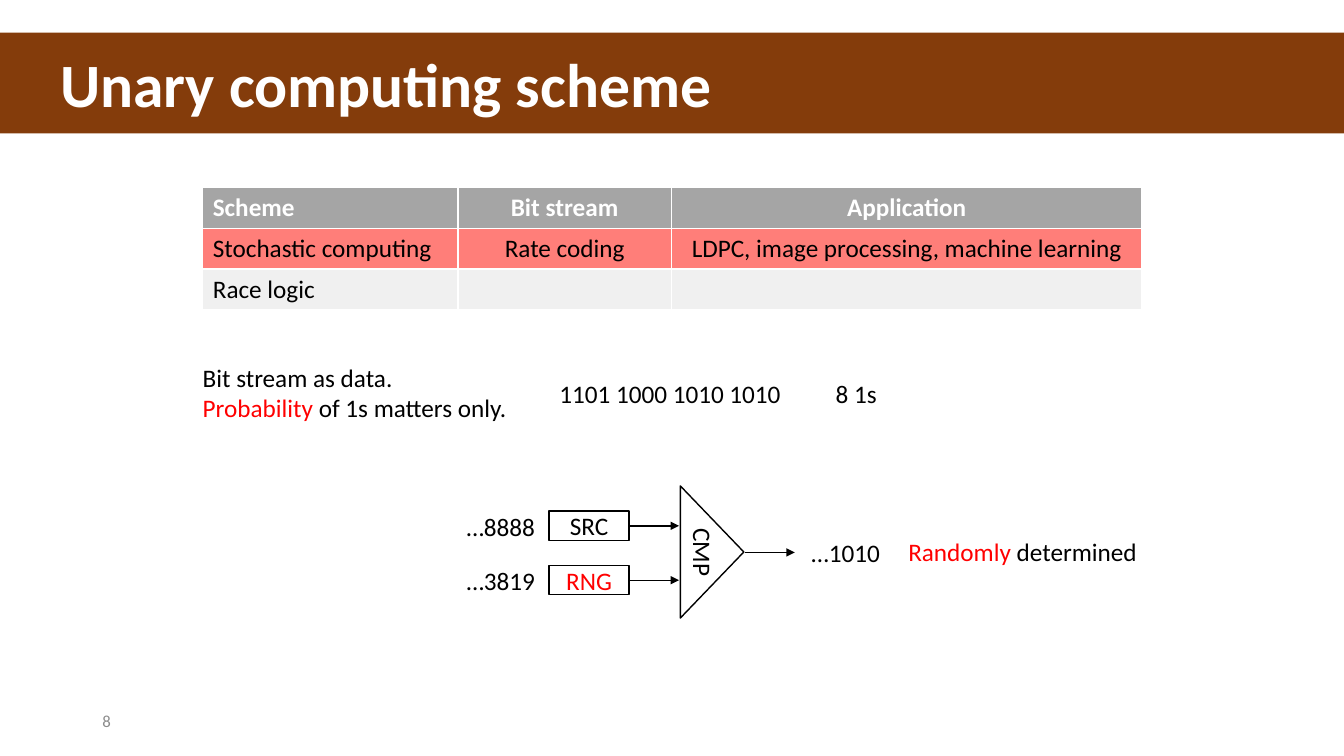
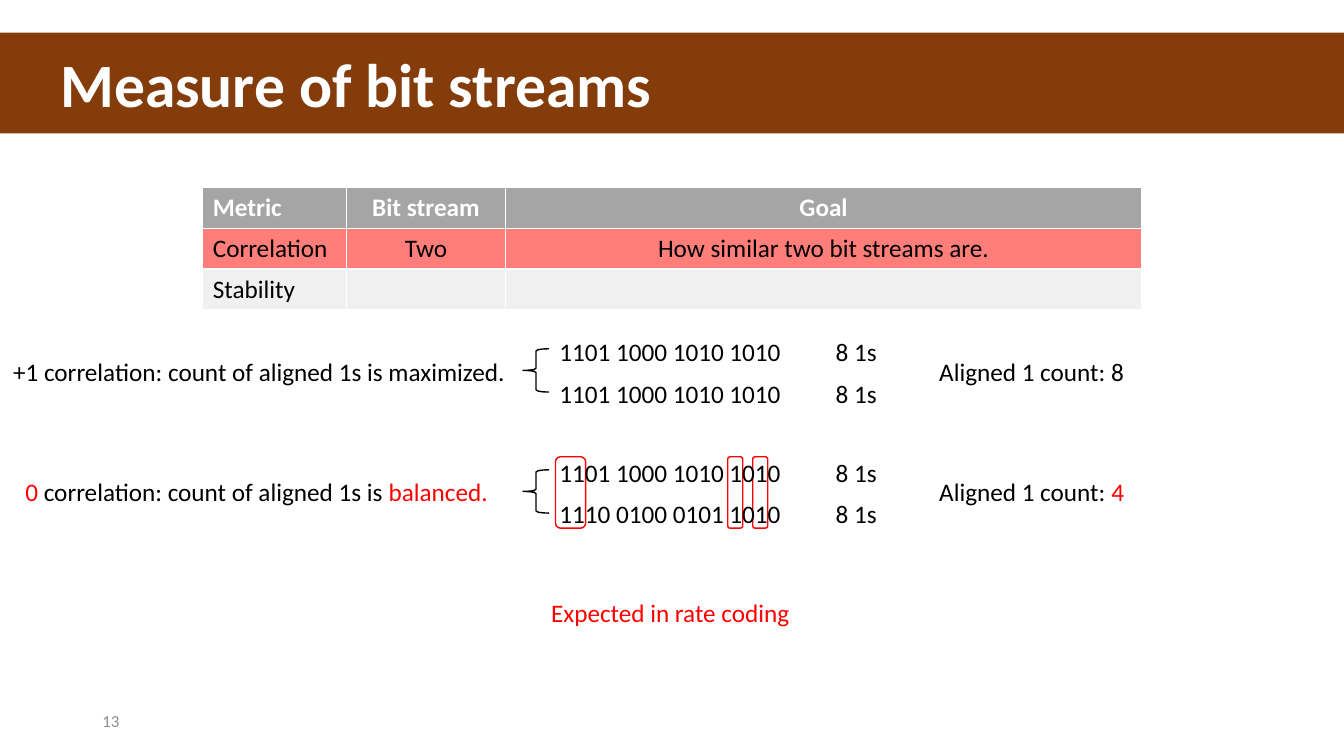
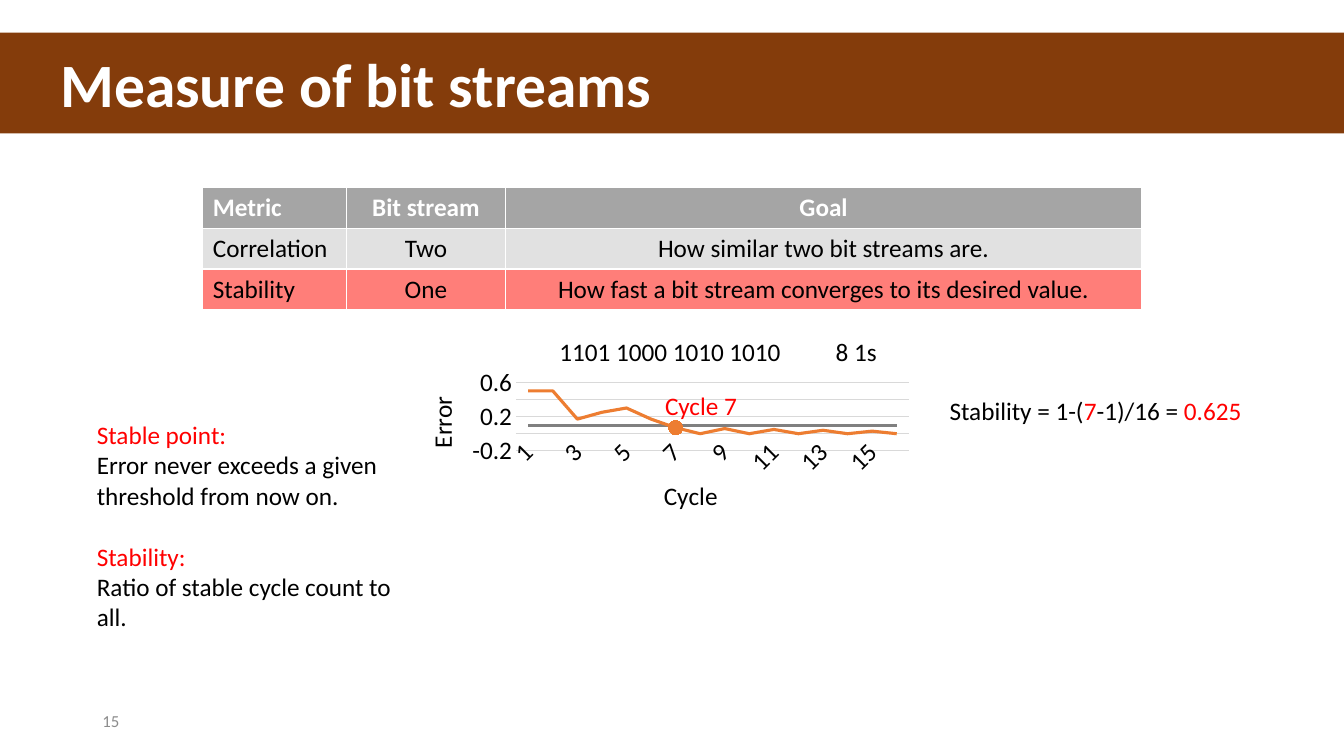
from pptx import Presentation
from pptx.chart.data import CategoryChartData
from pptx.dml.color import RGBColor
from pptx.enum.chart import XL_CHART_TYPE as Chart, XL_MARKER_STYLE as Marker, XL_TICK_MARK as Tick
from pptx.enum.shapes import MSO_CONNECTOR as Connector, MSO_SHAPE as Shape
from pptx.enum.text import MSO_ANCHOR as Anchor, PP_ALIGN as Align
from pptx.oxml import parse_xml
from pptx.oxml.ns import nsdecls, qn
from pptx.util import Cm, Pt
from lxml.etree import SubElement


class Theme:
    font = "Calibri"
    title_size, body_size, page_size = Pt(44), Pt(18), Pt(12)
    line_width = Pt(1)
    band = RGBColor.from_string("843C0B")
    white = RGBColor.from_string("FFFFFF")
    black = RGBColor.from_string("000000")
    red = RGBColor.from_string("FF0000")
    page = RGBColor.from_string("8C8C8C")
    header = RGBColor.from_string("A5A5A5")
    rows = [RGBColor.from_string("E1E1E1"), RGBColor.from_string("F0F0F0")]
    highlight = RGBColor.from_string("FF7E79")
    grid = RGBColor.from_string("D9D9D9")
    gray = RGBColor.from_string("808080")
    gold = RGBColor.from_string("FFC000")
    orange = RGBColor.from_string("ED7D31")


def write(frame, *paragraphs, size=Theme.body_size, color=Theme.black, bold=False,
          align=Align.LEFT, gap_before=None):
    """Each paragraph is a string or a list of (text, color) runs; gap_before maps index to space."""
    for index, content in enumerate(paragraphs):
        paragraph = frame.paragraphs[0] if index == 0 else frame.add_paragraph()
        paragraph.alignment = align
        if gap_before and index in gap_before:
            paragraph.space_before = gap_before[index]
        runs = [(content, color)] if isinstance(content, str) else content
        for text, run_color in runs:
            run = paragraph.add_run()
            run.text = text
            run.font.name, run.font.size, run.font.bold = Theme.font, size, bold
            run.font.color.rgb = run_color


def add_outline(slide, preset, left, top, width, height, color=Theme.black):
    shape = slide.shapes.add_shape(preset, Cm(left), Cm(top), Cm(width), Cm(height))
    shape.shadow.inherit = False
    shape.fill.background()
    shape.line.color.rgb = color
    shape.line.width = Theme.line_width
    return shape


presentation = Presentation()
presentation.slide_width, presentation.slide_height = Cm(33.87), Cm(19.05)

# Title band, page number and table of every slide
metric_header = ["Metric", "Bit stream", "Goal"]
metric_widths = [3.63, 3.99, 16.05]
correlation_row = ["Correlation", "Two", "How similar two bit streams are."]
outlines = [
    ("Unary computing scheme", "8", [6.43, 5.38, 11.86], 1, [
        ["Scheme", "Bit stream", "Application"],
        ["Stochastic computing", "Rate coding", "LDPC, image processing, machine learning"],
        ["Race logic", "", ""]]),
    ("Measure of bit streams", "13", metric_widths, 1, [
        metric_header, correlation_row, ["Stability", "", ""]]),
    ("Measure of bit streams", "15", metric_widths, 2, [
        metric_header, correlation_row,
        ["Stability", "One", "How fast a bit stream converges to its desired value."]]),
]
slides = []
for title, page, widths, highlighted, rows in outlines:
    slide = presentation.slides.add_slide(presentation.slide_layouts[6])
    slides.append(slide)

    band = slide.shapes.add_shape(Shape.RECTANGLE, 0, Cm(0.82), presentation.slide_width, Cm(2.54))
    band.shadow.inherit = False
    band.fill.solid()
    band.fill.fore_color.rgb = Theme.band
    band.line.fill.background()
    band.text_frame.margin_left = Cm(1.52)
    band.text_frame.vertical_anchor = Anchor.MIDDLE
    write(band.text_frame, title, size=Theme.title_size, color=Theme.white, bold=True)

    page_box = slide.shapes.add_textbox(Cm(2.33), Cm(17.66), Cm(7.62), Cm(1.01))
    page_box.text_frame.word_wrap = True
    page_box.text_frame.vertical_anchor = Anchor.MIDDLE
    write(page_box.text_frame, page, size=Theme.page_size, color=Theme.page)

    table = slide.shapes.add_table(len(rows), len(widths), Cm(5.11), Cm(4.72),
                                   Cm(sum(widths)), Cm(1.03 * len(rows))).table
    for column, width in zip(table.columns, widths):
        column.width = Cm(width)
    for row_index, row in enumerate(rows):
        is_header = row_index == 0
        fill = Theme.header if is_header else Theme.rows[row_index - 1]
        for column_index, text in enumerate(row):
            cell = table.cell(row_index, column_index)
            cell.vertical_anchor = Anchor.MIDDLE
            cell.fill.solid()
            cell.fill.fore_color.rgb = Theme.highlight if row_index == highlighted else fill
            write(cell.text_frame, text, bold=is_header,
                  color=Theme.white if is_header else Theme.black,
                  align=Align.CENTER if column_index else Align.LEFT)

scheme_slide, correlation_slide, stability_slide = slides

# Comparator circuit
source_left, source_width, source_height, arrow_length = 13.84, 2.01, 0.74, 1.26
wires = []
for name, color, top in [("SRC", Theme.black, 12.88), ("RNG", Theme.red, 14.25)]:
    source = add_outline(scheme_slide, Shape.RECTANGLE, source_left, top, source_width, source_height)
    frame = source.text_frame
    frame.margin_left = frame.margin_right = frame.margin_top = frame.margin_bottom = 0
    frame.vertical_anchor = Anchor.MIDDLE
    write(frame, name, color=color, align=Align.CENTER)
    wires.append((source, source_left + source_width, top + source_height / 2))

comparator = add_outline(scheme_slide, Shape.ISOSCELES_TRIANGLE, 16.28, 13.11, 3.33, 1.6)
comparator.rotation = 90
wires.append((None, 18.77, 13.92))
for source, left, middle in wires:
    arrow = scheme_slide.shapes.add_connector(
        Connector.STRAIGHT, Cm(left), Cm(middle), Cm(left + arrow_length), Cm(middle))
    if source is not None:
        arrow.begin_connect(source, 3)
    arrow.line.color.rgb = Theme.black
    arrow.line.width = Theme.line_width
    SubElement(arrow.element.xpath(".//a:ln")[0], qn("a:tailEnd"), type="triangle")
    SubElement(arrow.element.spPr, qn("a:effectLst"))

comparator_name = scheme_slide.shapes.add_textbox(Cm(16.84), Cm(13.41), Cm(1.75), Cm(1.02))
comparator_name.rotation = 90
comparator_name.text_frame.word_wrap = False
write(comparator_name.text_frame, "CMP", align=Align.CENTER)

# Braces over stream pairs and frames around aligned ones
for top in (8.79, 11.84):
    add_outline(correlation_slide, Shape.LEFT_BRACE, 13.18, top, 0.66, 1.09)
for left, width in [(14, 0.76), (18.34, 0.38), (18.97, 0.38)]:
    add_outline(correlation_slide, Shape.ROUNDED_RECTANGLE, left, 11.51, width, 1.8, Theme.red)

# Error chart
errors = [0.5, 0.5, 0.17, 0.25, 0.3, 0.17, 0.07, 0, 0.06, 0, 0.05, 0, 0.04, 0, 0.03, 0]
threshold = [0.1] * len(errors)
series_styles = [(threshold, Theme.gray, 0.75), (errors, Theme.gold, 0.75),
                 (threshold, Theme.gray, 2.25), (errors, Theme.orange, 2.25)]
chart_data = CategoryChartData()
chart_data.categories = [str(cycle) for cycle in range(1, len(errors) + 1)]
for number, (values, color, width) in enumerate(series_styles, 1):
    chart_data.add_series(f"Series {number}", values)
chart = stability_slide.shapes.add_chart(
    Chart.LINE, Cm(10.59), Cm(9.25), Cm(12.7), Cm(3.84), chart_data).chart
chart.has_title = chart.has_legend = False
chart.font.name, chart.font.size = Theme.font, Theme.body_size
chart.font.color.rgb = Theme.black
chart.plots[0].vary_by_categories = False

for series, (values, color, width) in zip(chart.plots[0].series, series_styles):
    series.smooth = False
    series.marker.style = Marker.NONE
    series.format.line.color.rgb = color
    series.format.line.width = Pt(width)
stable_point = series.points[6]
stable_point.format.line.color.rgb = color
stable_point.format.line.width = Pt(width)
stable_point.marker.style = Marker.CIRCLE
stable_point.marker.size = 10
stable_point.marker.format.fill.solid()
stable_point.marker.format.fill.fore_color.rgb = color
stable_point.marker.format.line.color.rgb = color

for axis, title in [(chart.category_axis, "Cycle"), (chart.value_axis, "Error")]:
    write(axis.axis_title.text_frame, title, align=Align.CENTER)
    axis.major_tick_mark = axis.minor_tick_mark = Tick.NONE
    axis.tick_labels.font.name, axis.tick_labels.font.size = Theme.font, Theme.body_size
    axis.tick_labels.font.color.rgb = Theme.black
chart.category_axis.format.line.color.rgb = Theme.grid
chart.category_axis.format.line.width = Pt(0.75)
value_axis = chart.value_axis
value_axis.minimum_scale, value_axis.maximum_scale, value_axis.major_unit = -0.2, 0.6, 0.2
value_axis.format.line.fill.background()
value_axis.major_gridlines.format.line.color.rgb = Theme.grid
value_axis.major_gridlines.format.line.width = Pt(0.75)
for location, angle in [("c:valAx/c:title", -90), ("c:catAx/c:txPr", -45)]:
    body = chart.element.xpath(f".//{location}//a:bodyPr")[0]
    body.set("rot", str(angle * 60000))
    body.set("vert", "horz")

plot_area = chart.element.xpath(".//c:plotArea")[0]
for old_layout in plot_area.xpath("c:layout"):
    plot_area.remove(old_layout)
plot_area.insert(0, parse_xml(
    f'<c:layout {nsdecls("c")}><c:manualLayout><c:layoutTarget val="inner"/>'
    '<c:xMode val="edge"/><c:yMode val="edge"/><c:x val="0.19"/><c:y val="0.1"/>'
    '<c:w val="0.78"/><c:h val="0.45"/></c:manualLayout></c:layout>'))

# Labels: slide, left, top, width, height, paragraphs
black, red = Theme.black, Theme.red
line_height = 0.77
labels = [
    (scheme_slide, 5.11, 9.12, 7.75, 1.54,
     ["Bit stream as data.", [("Probability", red), (" of 1s matters only.", black)]]),
    (scheme_slide, 11.76, 12.88, 1.75, line_height, ["…8888"]),
    (scheme_slide, 11.76, 14.25, 1.75, line_height, ["…3819"]),
    (scheme_slide, 20.45, 13.54, 1.75, line_height, ["…1010"]),
    (scheme_slide, 22.89, 13.51, 5.84, line_height,
     [[("Randomly", red), (" determined", black)]]),
    (correlation_slide, 0.33, 8.97, 12.55, line_height,
     ["+1 correlation: count of aligned 1s is maximized."]),
    (correlation_slide, 0.64, 12.01, 11.8, line_height,
     [[("0 ", red), ("correlation: count of aligned 1s is ", black), ("balanced.", red)]]),
    (correlation_slide, 23.67, 8.97, 4.72, line_height, ["Aligned 1 count: 8"]),
    (correlation_slide, 23.67, 12, 4.72, line_height,
     [[("Aligned 1 count: ", black), ("4", red)]]),
    (correlation_slide, 13.89, 15.06, 6.07, line_height, [[("Expected in rate coding", red)]]),
    (stability_slide, 23.93, 9.96, 8.05, line_height,
     [[("Stability = 1-(", black), ("7", red), ("-1)/16 = ", black), ("0.625", red)]]),
    (stability_slide, 16.76, 9.83, 1.83, line_height, [[("Cycle 7", red)]]),
]
stream = "1101 1000 1010 1010"
for slide, top, bits in [(scheme_slide, 9.53, stream),
                         (correlation_slide, 8.48, stream), (correlation_slide, 9.53, stream),
                         (correlation_slide, 11.53, stream),
                         (correlation_slide, 12.55, "1110 0100 0101 1010"),
                         (stability_slide, 8.48, stream)]:
    labels.append((slide, 14.1, top, 5.66, line_height, [bits]))
    labels.append((slide, 21.06, top, 1.06, line_height, ["8 1s"]))
definitions = (stability_slide, 2.44, 10.57, 7.49, 5.38, [
    [("Stable point:", red)], "Error never exceeds a given threshold from now on.",
    [("Stability:", red)], "Ratio of stable cycle count to all."])
for label in labels + [definitions]:
    slide, left, top, width, height, paragraphs = label
    frame = slide.shapes.add_textbox(Cm(left), Cm(top), Cm(width), Cm(height)).text_frame
    frame.margin_left = frame.margin_right = frame.margin_top = frame.margin_bottom = 0
    frame.word_wrap = label is definitions
    write(frame, *paragraphs, gap_before={2: Pt(22)})

presentation.save("out.pptx")
